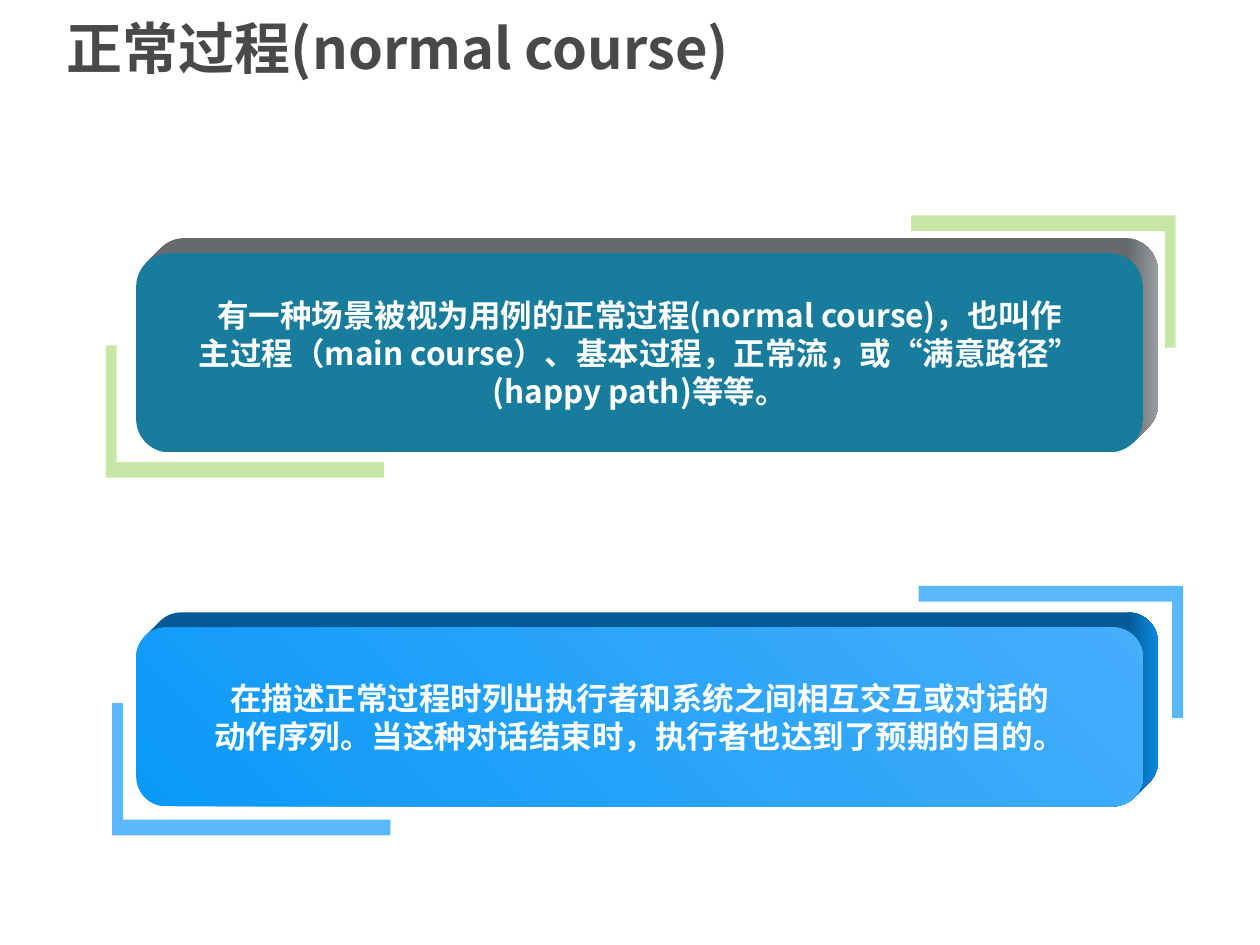
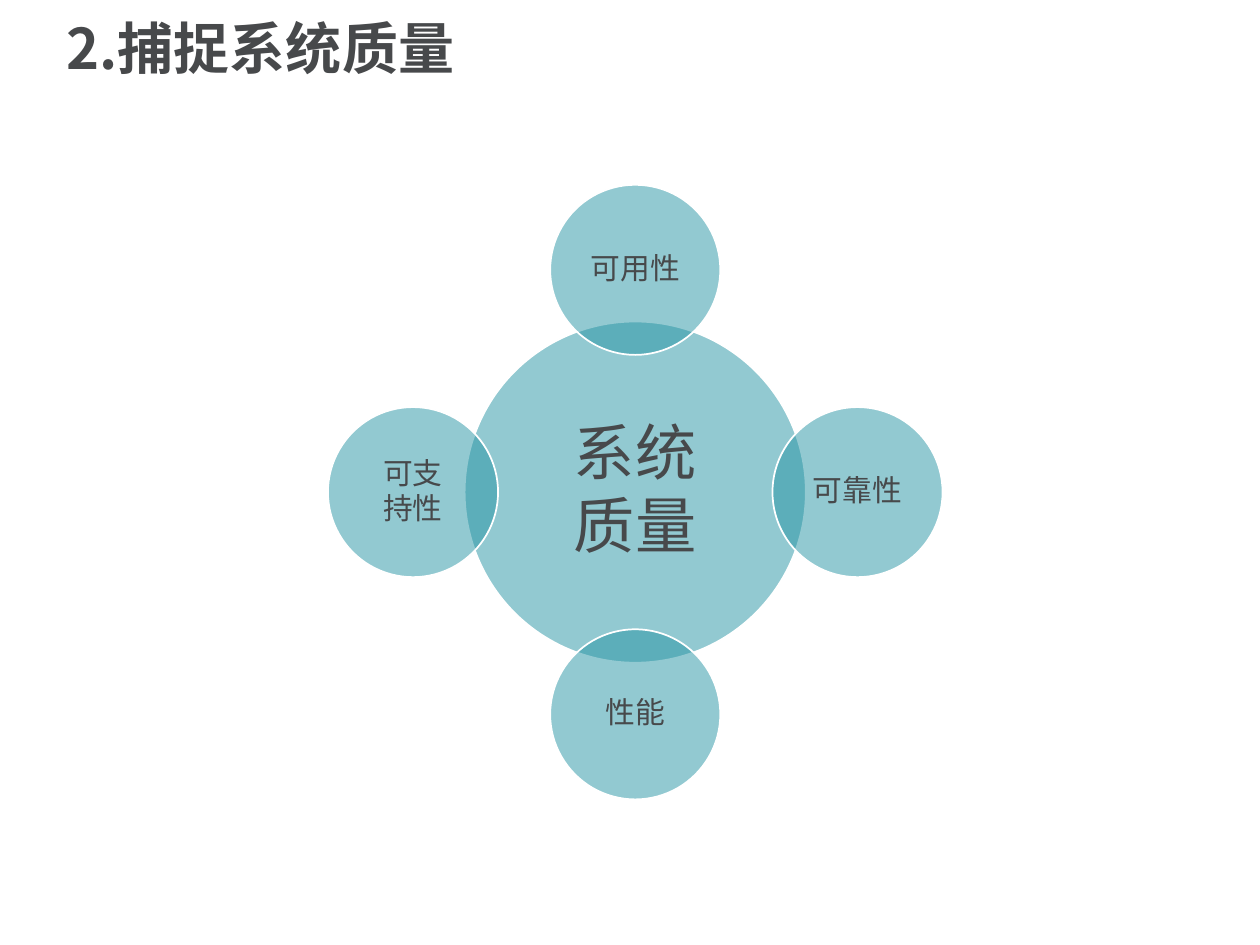
import math

from lxml import etree
from pptx import Presentation
from pptx.dml.color import RGBColor
from pptx.enum import shapes, text
from pptx.oxml import ns
from pptx.util import Pt

# Shared style
SANS = "Noto Sans CJK SC"
INK, WHITE, TEAL = "47494B", "FFFFFF", "2794A4"
CARD_LEFT, CARD_WIDTH = 77.8, 575.3
CARD_DEPTH = 8.6
CORNER = 0.167


def colour(hex_code):
    return RGBColor.from_string(hex_code)


def paint(shape, fill, opacity=100, line=None):
    """Fill with one colour and an optional 1 pt outline."""
    shape.shadow.inherit = False
    shape.fill.solid()
    shape.fill.fore_color.rgb = colour(fill)
    if opacity < 100:
        tint = shape.fill._xPr.find(".//" + ns.qn("a:srgbClr"))
        etree.SubElement(tint, ns.qn("a:alpha"), val=str(opacity * 1000))
    if line:
        shape.line.color.rgb = colour(line)
        shape.line.width = Pt(1)
    else:
        shape.line.fill.background()


def paint_gradient(shape, stops, angle):
    """Fill with a two-stop linear gradient; stops are (position, colour)."""
    paint(shape, stops[0][1])
    shape.fill.gradient()
    shape.fill.gradient_angle = angle
    for stop, (position, hex_code) in zip(shape.fill.gradient_stops, stops):
        stop.position = position
        stop.color.rgb = colour(hex_code)


def write(shape, content, size=18, font=SANS, ink=INK, bold=False, align="CENTER",
          spacing=1.0, gap=0, inset=None, wrap=False):
    frame = shape.text_frame
    frame.word_wrap = wrap
    frame.vertical_anchor = text.MSO_ANCHOR.MIDDLE
    if inset is not None:
        frame.margin_left = frame.margin_right = Pt(inset)
        frame.margin_top = frame.margin_bottom = Pt(inset)
    for number, sentence in enumerate(content.split("\n")):
        paragraph = frame.add_paragraph() if number else frame.paragraphs[0]
        paragraph.alignment = text.PP_ALIGN[align]
        paragraph.line_spacing = spacing
        paragraph.space_after = Pt(gap)
        run = paragraph.add_run()
        run.text = sentence
        run.font.size = Pt(size)
        run.font.bold = bold
        run.font.name = font
        run.font.color.rgb = colour(ink)
        etree.SubElement(run.font._element, ns.qn("a:ea"), typeface=SANS)


def add_titled_slide(deck, title):
    slide = deck.slides.add_slide(deck.slide_layouts[6])
    heading = slide.shapes.add_textbox(Pt(31), Pt(4.3), Pt(651.6), Pt(50.4))
    write(heading, title, size=32, bold=True, align="LEFT", spacing=0.9, wrap=True)
    return slide


def add_outline(slide, points):
    corners = [(Pt(x), Pt(y)) for x, y in points]
    builder = slide.shapes.build_freeform(*corners[0], scale=1.0)
    builder.add_line_segments(corners[1:], close=True)
    return builder.convert_to_shape()


def add_bracket(slide, x, y, width, height, fill, opacity):
    """L-shaped bracket from corner (x, y); signs of the sides set its direction."""
    upright = math.copysign(6.2, width)
    bar = math.copysign(9, height)
    sides = [(0, 0), (width, 0), (width, bar), (upright, bar),
             (upright, height), (0, height)]
    paint(add_outline(slide, [(x + dx, y + dy) for dx, dy in sides]), fill, opacity)


def add_card_sides(slide, top, height, top_colour, right_colour):
    """Visible top and right sides of a card that recedes up and to the right."""
    radius = CORNER * height
    left, right = CARD_LEFT + radius, CARD_LEFT + CARD_WIDTH - radius
    upper, lower = top + radius, top + height - radius

    def arc(x, y, start, end, depth=CARD_DEPTH):
        return [(x + depth + radius * math.cos(math.radians(a)),
                 y - depth + radius * math.sin(math.radians(a)))
                for a in range(start, end + 1, 5)]

    points = (arc(left, upper, 225, 225, 0) + arc(left, upper, 225, 270)
              + arc(right, upper, 270, 360) + arc(right, lower, 0, 45)
              + arc(right, lower, 45, 45, 0))
    paint_gradient(add_outline(slide, points),
                   [(0.97, top_colour), (1, right_colour)], 0)


def add_card(slide, top, height, content, face, sides, font=SANS):
    add_card_sides(slide, top, height, *sides)
    card = slide.shapes.add_shape(shapes.MSO_SHAPE.ROUNDED_RECTANGLE, Pt(CARD_LEFT),
                                  Pt(top), Pt(CARD_WIDTH), Pt(height))
    card.adjustments[0] = CORNER
    paint_gradient(card, [(0, face[0]), (1, face[1])], 45)
    write(card, content, font=font, ink=WHITE, bold=True)


def add_circle(slide, x, y, diameter, label, size, inset):
    circle = slide.shapes.add_shape(shapes.MSO_SHAPE.OVAL, Pt(x - diameter / 2),
                                    Pt(y - diameter / 2), Pt(diameter), Pt(diameter))
    paint(circle, TEAL, 50, line=WHITE)
    write(circle, label, size=size, spacing=0.9, gap=size / 10, inset=inset)


def build_normal_course(deck):
    slide = add_titled_slide(deck, "正常过程(normal course)")

    # Definition
    add_bracket(slide, 60.5, 272.9, 159, -75.6, "92D050", 50)
    add_bracket(slide, 671.8, 123.1, -151.2, 75.6, "92D050", 50)
    add_card(slide, 144.7, 113.8,
             "有一种场景被视为用例的正常过程(normal course)，也叫作\n"
             "主过程（main course）、基本过程，正常流，或“满意路径”\n"
             "(happy path)等等。",
             face=("187C9C", "187C9C"), sides=("666A6C", "999C9F"))

    # Description
    add_bracket(slide, 64.1, 477.4, 159, -75.6, "0B99F9", 68)
    add_bracket(slide, 676.1, 334.8, -151.2, 75.6, "0B99F9", 68)
    add_card(slide, 358.6, 102.2,
             "在描述正常过程时列出执行者和系统之间相互交互或对话的\n"
             "动作序列。当这种对话结束时，执行者也达到了预期的目的。",
             face=("0B99F9", "46AEFB"), sides=("045A96", "0B88DF"),
             font="DejaVu Sans")


def build_system_quality(deck):
    slide = add_titled_slide(deck, "2.捕捉系统质量")
    centre_x, centre_y, orbit = 363, 281.2, 127
    add_circle(slide, centre_x, centre_y, 195, "系统\n质量", 35, 3.6)

    # Qualities clockwise from the top
    qualities = ["可用性", "可靠性", "性能", "可支\n持性"]
    for number, quality in enumerate(qualities):
        angle = 2 * math.pi * number / len(qualities)
        add_circle(slide, centre_x + orbit * math.sin(angle),
                   centre_y - orbit * math.cos(angle), 97.2, quality, 17, 1.4)


def main():
    deck = Presentation()
    deck.slide_width, deck.slide_height = Pt(720), Pt(540)
    build_normal_course(deck)
    build_system_quality(deck)
    deck.save("out.pptx")


if __name__ == "__main__":
    main()
